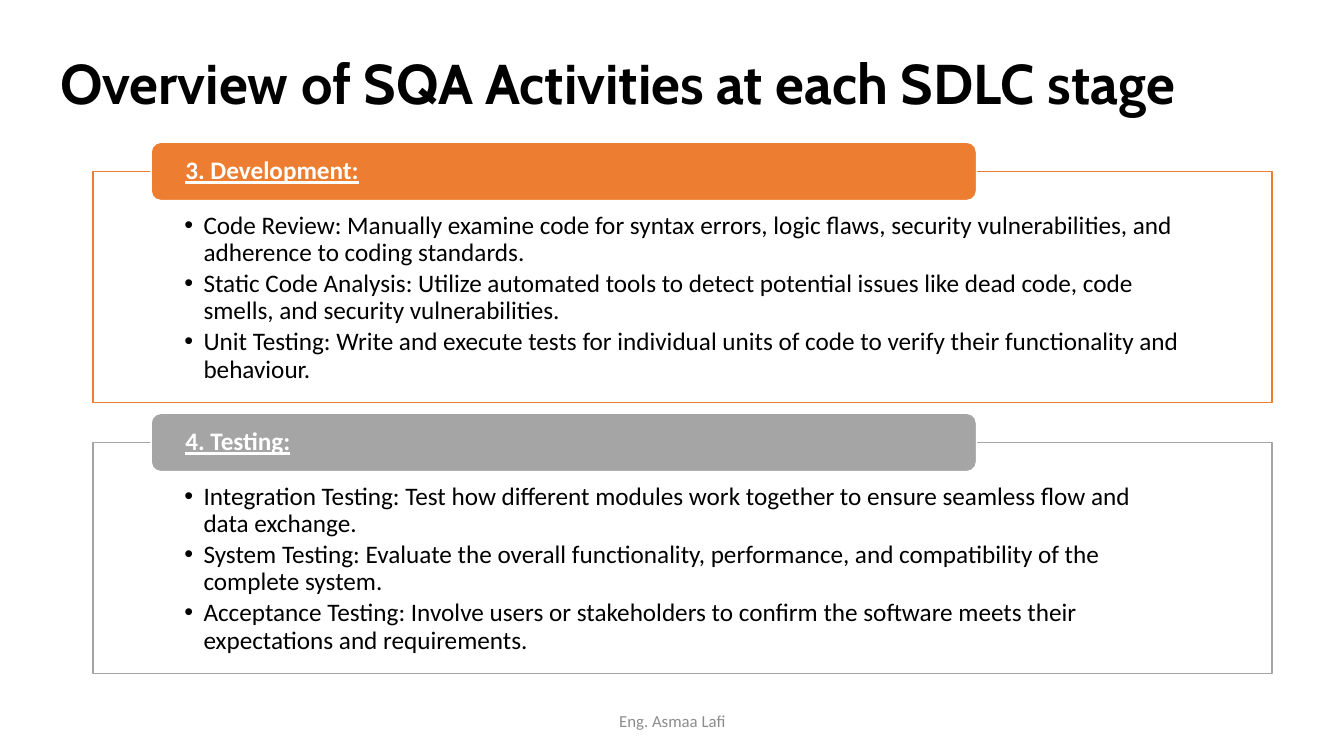
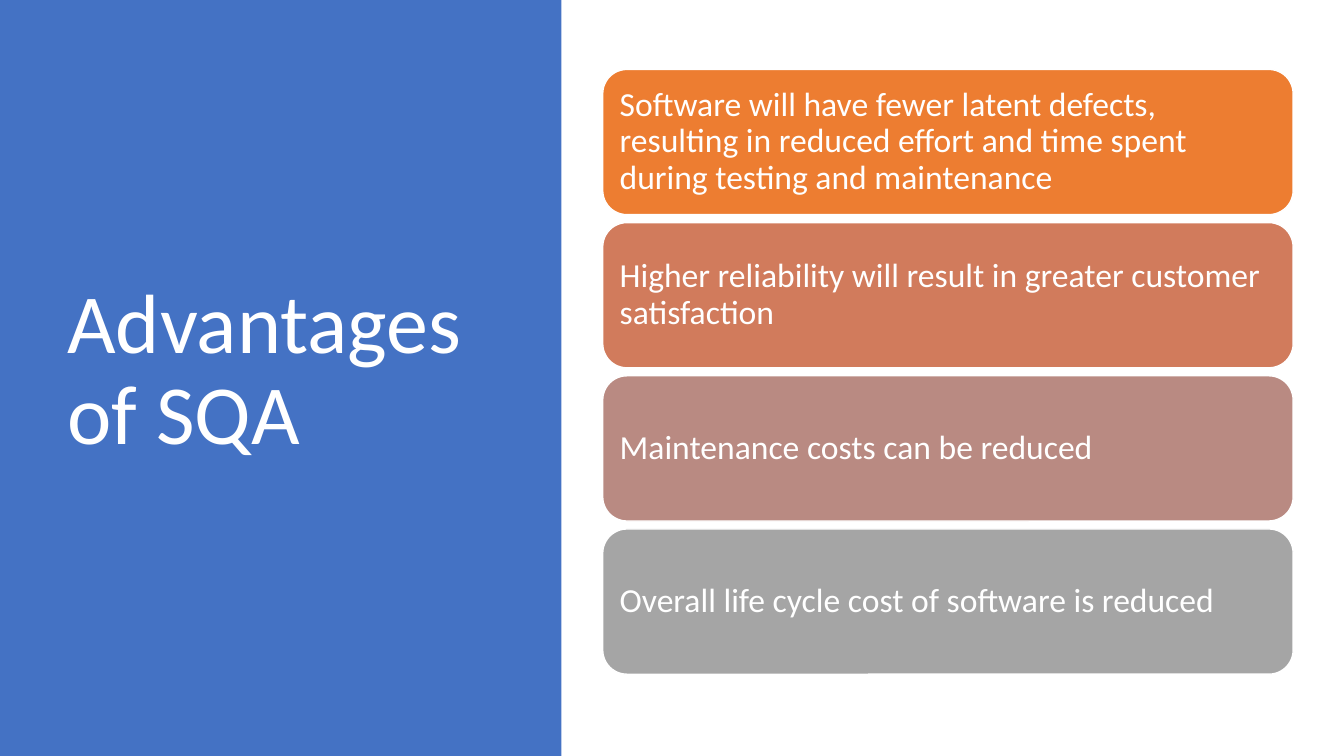
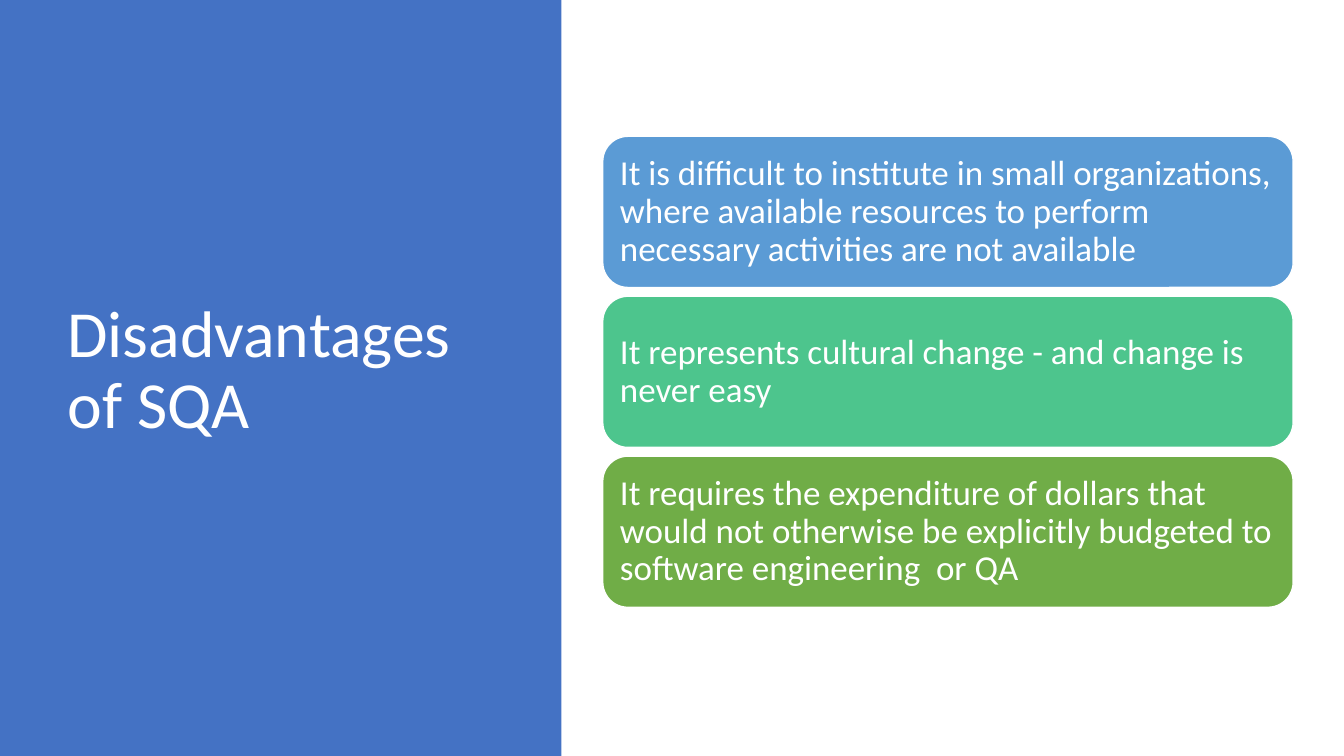
"""Build three slides on software quality assurance: stage activities, advantages and disadvantages."""
from lxml import etree
from pptx import Presentation
from pptx.dml.color import RGBColor
from pptx.enum.shapes import MSO_SHAPE
from pptx.enum.text import MSO_ANCHOR, PP_ALIGN
from pptx.oxml.ns import qn
from pptx.util import Cm, Pt

COLORS = {
    "black": "000000",
    "white": "FFFFFF",
    "footer": "8C8C8C",
    "band": "4472C4",
    "orange": "ED7D31",
    "terracotta": "D17B5C",
    "rose": "B98A82",
    "gray": "A5A5A5",
    "sky": "5B9BD5",
    "mint": "4DC58D",
    "green": "70AD47",
}
SLIDE_W, SLIDE_H = 33.87, 19.05
BAND_W = 14.15
CARD_X, CARD_W, CARDS_MID = 15.19, 17.4, 9.37
PANEL_X, PANEL_Y, PANEL_W, PANEL_H, PANEL_STEP = 2.34, 4.32, 29.72, 5.82, 6.83
TAB_X, TAB_W, TAB_H = 3.81, 20.8, 1.47

STAGES = [
    ("3. Development:", "orange", [
        "Code Review: Manually examine code for syntax errors, logic flaws, security vulnerabilities, and adherence to coding standards.",
        "Static Code Analysis: Utilize automated tools to detect potential issues like dead code, code smells, and security vulnerabilities.",
        "Unit Testing: Write and execute tests for individual units of code to verify their functionality and behaviour.",
    ]),
    ("4. Testing:", "gray", [
        "Integration Testing: Test how different modules work together to ensure seamless flow and data exchange.",
        "System Testing: Evaluate the overall functionality, performance, and compatibility of the complete system.",
        "Acceptance Testing: Involve users or stakeholders to confirm the software meets their expectations and requirements.",
    ]),
]
ADVANTAGES = [
    ("orange", "Software will have fewer latent defects, resulting in reduced effort and time spent during testing and maintenance"),
    ("terracotta", "Higher reliability will result in greater customer satisfaction"),
    ("rose", "Maintenance costs can be reduced"),
    ("gray", "Overall life cycle cost of software is reduced"),
]
DISADVANTAGES = [
    ("sky", "It is difficult to institute in small organizations, where available resources to perform necessary activities are not available"),
    ("mint", "It represents cultural change - and change is never easy"),
    ("green", "It requires the expenditure of dollars that would not otherwise be explicitly budgeted to software engineering  or QA"),
]


def rgb(name):
    return RGBColor.from_string(COLORS[name])


def add_bullet(p):
    pPr = p._p.get_or_add_pPr()
    pPr.set("marL", str(Cm(0.48)))
    pPr.set("indent", str(-Cm(0.48)))
    etree.SubElement(pPr, qn("a:buFont")).set("typeface", "Arial")
    etree.SubElement(pPr, qn("a:buChar")).set("char", "•")


def write_text(sp, *lines, size=18, color="white", font="Calibri", bold=False,
               underline=False, align=PP_ALIGN.LEFT, anchor=MSO_ANCHOR.MIDDLE,
               margins=(0.25, 0.13, 0.25, 0.13), bullet=False, spacing=0.9, after=0):
    tf = sp.text_frame
    tf.word_wrap = True
    tf.vertical_anchor = anchor
    tf.margin_left, tf.margin_top, tf.margin_right, tf.margin_bottom = map(Cm, margins)
    for i, line in enumerate(lines):
        p = tf.paragraphs[0] if i == 0 else tf.add_paragraph()
        if bullet:
            add_bullet(p)
        p.alignment = align
        p.line_spacing = spacing
        p.space_after = Pt(after)
        r = p.add_run()
        r.text = line
        r.font.name, r.font.size = font, Pt(size)
        r.font.bold, r.font.underline = bold, underline
        r.font.color.rgb = rgb(color)


def add_text(s, x, y, w, h, text, **style):
    write_text(s.shapes.add_textbox(Cm(x), Cm(y), Cm(w), Cm(h)), text, **style)


def add_box(s, x, y, w, h, fill, line=None, kind=MSO_SHAPE.RECTANGLE):
    sp = s.shapes.add_shape(kind, Cm(x), Cm(y), Cm(w), Cm(h))
    sp.shadow.inherit = False
    sp.fill.solid()
    sp.fill.fore_color.rgb = rgb(fill)
    if line:
        sp.line.color.rgb = rgb(line)
        sp.line.width = Pt(1)
    else:
        sp.line.fill.background()
    return sp


def add_rounded(s, x, y, w, h, fill):
    return add_box(s, x, y, w, h, fill, "white", MSO_SHAPE.ROUNDED_RECTANGLE)


def add_stage(s, y, heading, color, items):
    panel = add_box(s, PANEL_X, y, PANEL_W, PANEL_H, "white", color)
    write_text(panel, *items, color="black", anchor=MSO_ANCHOR.TOP, bullet=True,
               margins=(2.31, 1.04, 2.31, 0.36), after=2.7)
    tab = add_rounded(s, TAB_X, y - TAB_H / 2, TAB_W, TAB_H, color)
    write_text(tab, heading, bold=True, underline=True, margins=(0.79, 0, 0.79, 0))


def add_cards(s, cards, h, gap, size):
    top = CARDS_MID - (len(cards) * (h + gap) - gap) / 2
    for i, (color, text) in enumerate(cards):
        card = add_rounded(s, CARD_X, top + i * (h + gap), CARD_W, h, color)
        write_text(card, text, size=size, margins=(0.25,) * 4)


def add_blank(prs):
    return prs.slides.add_slide(prs.slide_layouts[6])


def add_stage_slide(prs):
    s = add_blank(prs)
    add_text(s, 1.27, 0.61, 29.21, 3.15, "Overview of SQA Activities at each SDLC stage",
             size=40, color="black", font="Cabin", bold=True)
    add_text(s, 11.23, 17.65, 11.43, 1.02, "Eng. Asmaa Lafi", size=12, color="footer",
             align=PP_ALIGN.CENTER, spacing=1.0)
    for i, stage in enumerate(STAGES):
        add_stage(s, PANEL_Y + i * PANEL_STEP, *stage)


def add_card_slide(prs, title, title_size, cards, **layout):
    s = add_blank(prs)
    add_box(s, 0, 0, BAND_W, SLIDE_H, "band")
    add_text(s, 1.45, 1.73, 10.57, 15.29, title, size=title_size)
    add_cards(s, cards, **layout)


def main():
    prs = Presentation()
    prs.slide_width, prs.slide_height = Cm(SLIDE_W), Cm(SLIDE_H)
    add_stage_slide(prs)
    add_card_slide(prs, "Advantages of SQA", 60, ADVANTAGES, h=3.66, gap=0.2, size=24)
    add_card_slide(prs, "Disadvantages of SQA", 47, DISADVANTAGES, h=3.81, gap=0.22, size=25)
    prs.save("out.pptx")


if __name__ == "__main__":
    main()
